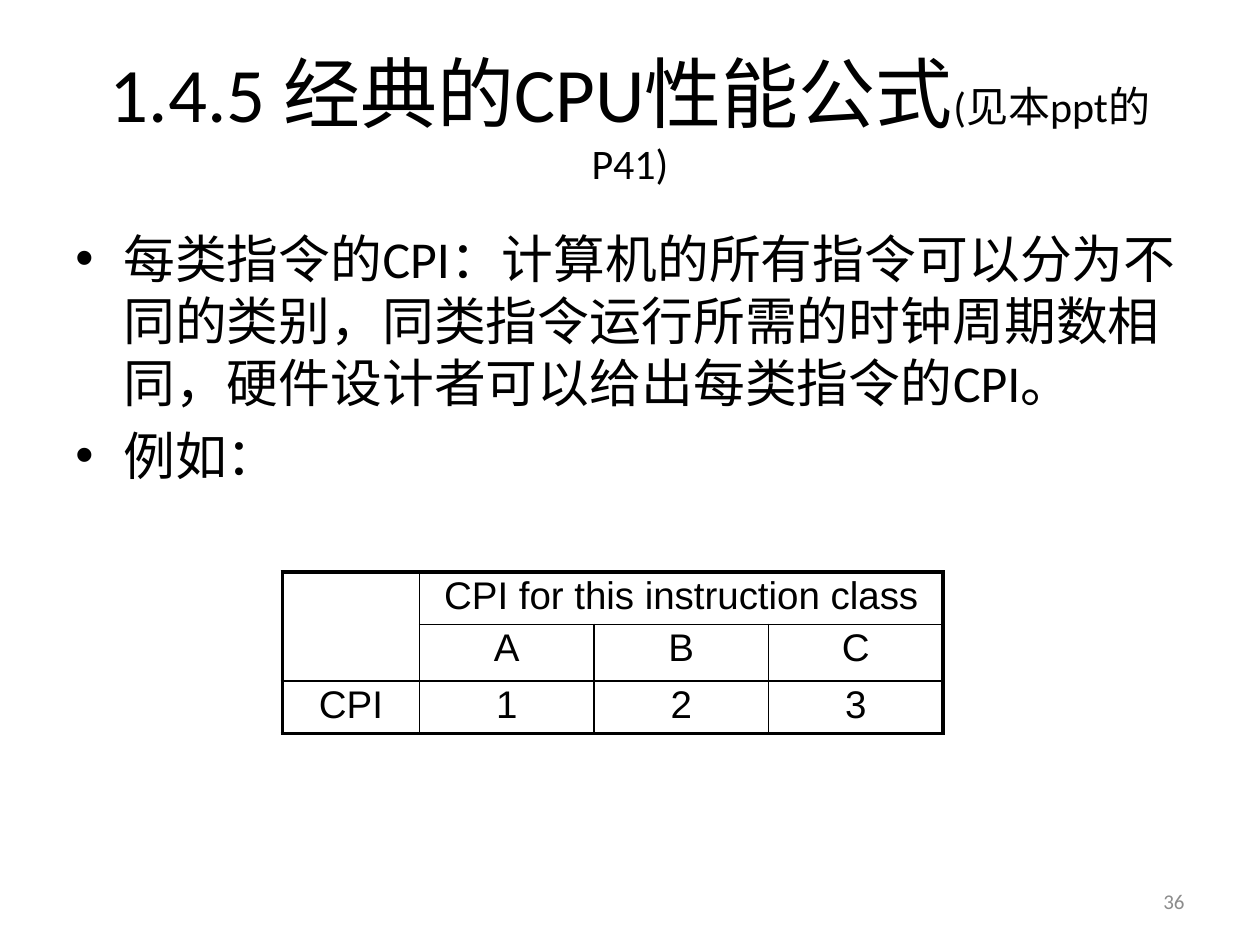
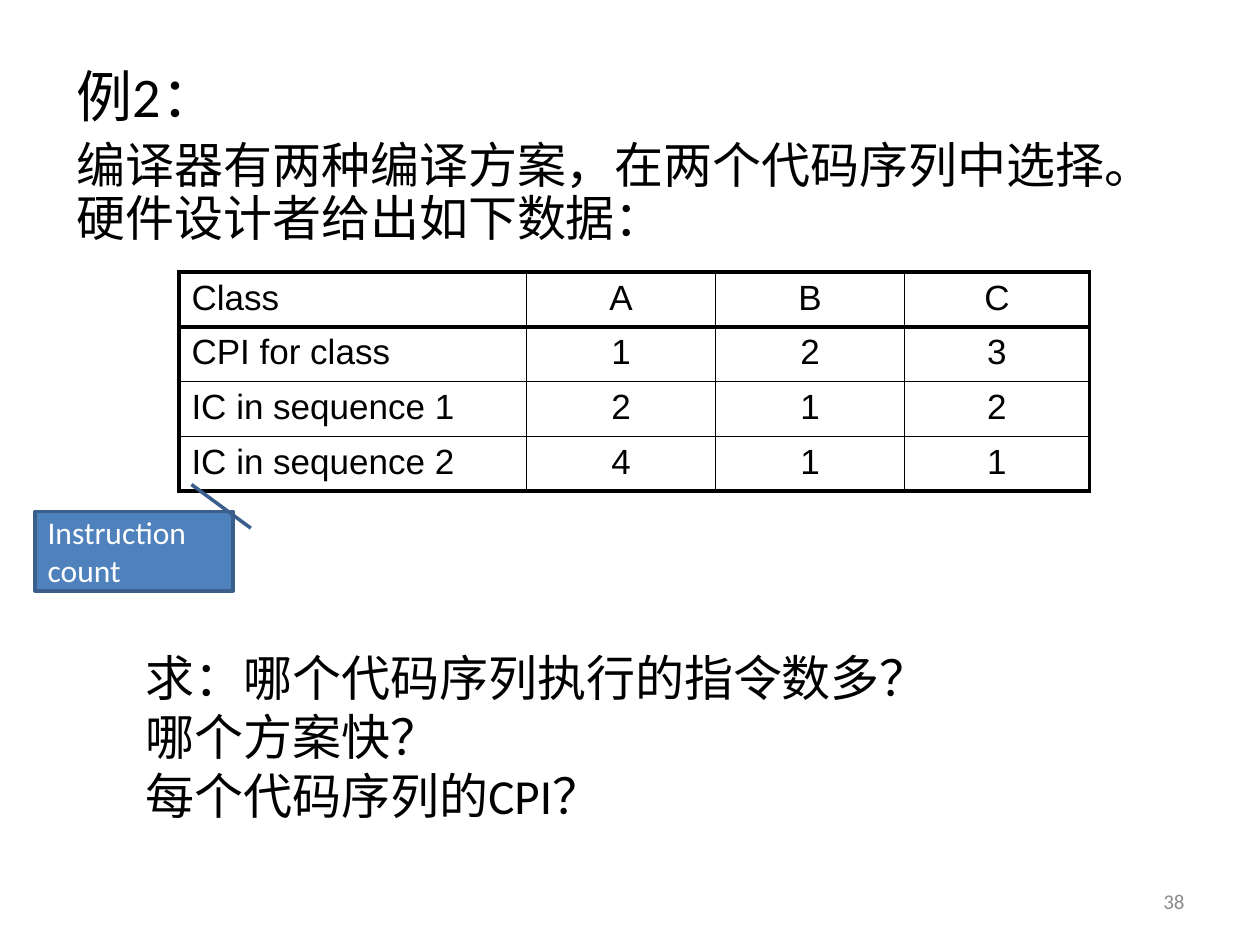
from dataclasses import dataclass
from lxml.etree import SubElement as Sub
from pptx import Presentation
from pptx.dml.color import RGBColor as Rgb
from pptx.enum.shapes import MSO_SHAPE as Kind
from pptx.enum.text import MSO_ANCHOR as Anchor, MSO_AUTO_SIZE as Auto, PP_ALIGN as Align
from pptx.oxml.ns import qn
from pptx.util import Inches, Pt


@dataclass(frozen=True)
class Theme:
    ink: str = "000000"
    pale: str = "FFFFFF"
    gray: str = "8C8C8C"
    blue: str = "4F81BD"
    edge: str = "3A5F8C"
    face: str = "Calibri"
    grid: str = "Arial"
    title: float = 44
    head: float = 32
    body: float = 29.6
    text: float = 28
    note: float = 24
    wide: float = 22
    cell: float = 20
    tag: float = 18
    foot: float = 12
    thick: float = 2.25
    thin: float = 1


WIDTH, HEIGHT = Inches(10), Inches(7.5)
COLS, ROWS = 20, 15
PLAIN = "{2D5ABB26-0587-4C30-8999-92F81FD0307C}"
LEFT = {"alignment": Align.LEFT}
MID = {"alignment": Align.CENTER}
RIGHT = {"alignment": Align.RIGHT}
SIDES = ("left", "top", "width", "height")


def apply(item, form):
    for name, value in form.items():
        setattr(item, name, value)


class Deck:
    def __init__(self, theme):
        self.theme = theme
        self.prs = Presentation()
        apply(self.prs, {"slide_width": WIDTH, "slide_height": HEIGHT})
        self.slide = None

    def place(self, *spot):
        units = (WIDTH / COLS, HEIGHT / ROWS) * 2
        return [round(n * unit) for n, unit in zip(spot, units)]

    def put(self, frame, lines, size, form=LEFT, ink=None, face=None, **more):
        apply(frame, {"word_wrap": True, "auto_size": Auto.NONE, **more})
        for i, line in enumerate(lines):
            para = frame.add_paragraph() if i else frame.paragraphs[0]
            apply(para, form)
            for part in [line] if isinstance(line, str) else line:
                words, points = (part, size) if isinstance(part, str) else part
                run = para.add_run()
                run.text = words
                apply(run.font, {"name": face or self.theme.face, "size": Pt(points)})
                run.font.color.rgb = Rgb.from_string(ink or self.theme.ink)

    def start(self, number, title, spot, size, form, anchor):
        self.slide = self.prs.slides.add_slide(self.prs.slide_layouts[5])
        head = self.slide.shapes.title
        apply(head, dict(zip(SIDES, self.place(*spot))))
        self.put(head.text_frame, [title], size, form, vertical_anchor=anchor)
        self.text([str(number)], (14.34, 13.9, 4.66, 0.8), self.theme.foot, RIGHT,
                  ink=self.theme.gray, vertical_anchor=Anchor.MIDDLE)

    def text(self, lines, spot, size, form=LEFT, **more):
        box = self.slide.shapes.add_textbox(*self.place(*spot))
        self.put(box.text_frame, lines, size, form, **more)
        return box

    def list(self, lines, spot, size):
        form = {**LEFT, "space_before": Pt(size * 0.2)}
        box = self.text(lines, spot, size, form)
        for para in box.text_frame.paragraphs:
            props = para._p.get_or_add_pPr()
            props.set("marL", str(Inches(0.38)))
            props.set("indent", str(-Inches(0.38)))
            Sub(props, qn("a:buFont"), typeface="Arial")
            Sub(props, qn("a:buChar"), char="•")

    def table(self, data, spot, cols, rows, size, first, form, merge=(), bold=()):
        where = self.place(*spot, sum(cols), sum(rows))
        grid = self.slide.shapes.add_table(len(rows), len(cols), *where).table
        apply(grid, {"first_row": False, "horz_banding": False})
        grid._tbl.tblPr.find(qn("a:tableStyleId")).text = PLAIN
        for col, span in zip(grid.columns, cols):
            col.width = self.place(span)[0]
        for row, span in zip(grid.rows, rows):
            row.height = self.place(0, span)[1]
        for start, end in merge:
            grid.cell(*start).merge(grid.cell(*end))
        heavy = {0, len(rows), *bold}
        for r, line in enumerate(data):
            for c, words in enumerate(line):
                cell = grid.cell(r, c)
                if cell.is_spanned:
                    continue
                self.rule(cell, {"L": c == 0, "R": c + cell.span_width == len(cols),
                                 "T": r in heavy, "B": r + cell.span_height in heavy})
                cell.fill.background()
                if words:
                    self.put(cell.text_frame, [words], size,
                             {**form, **(MID if c else first)}, face=self.theme.grid)

    def rule(self, cell, ends):
        props = cell._tc.get_or_add_tcPr()
        for side, heavy in ends.items():
            width = self.theme.thick if heavy else self.theme.thin
            line = Sub(props, qn("a:ln" + side), w=str(Pt(width)))
            Sub(Sub(line, qn("a:solidFill")), qn("a:srgbClr"), val=self.theme.ink)

    def callout(self, words, spot, bends):
        box = self.slide.shapes.add_shape(Kind.LINE_CALLOUT_1, *self.place(*spot))
        box.shadow.inherit = False
        box.fill.solid()
        box.fill.fore_color.rgb = Rgb.from_string(self.theme.blue)
        box.line.color.rgb = Rgb.from_string(self.theme.edge)
        box.line.width = Pt(2)
        for i, bend in enumerate(bends):
            box.adjustments[i] = bend
        self.put(box.text_frame, [words], self.theme.tag, ink=self.theme.pale,
                 vertical_anchor=Anchor.MIDDLE)


def main():
    theme = Theme()
    deck = Deck(theme)

    deck.start(36, ["1.4.5 经典的CPU性能公式", ("(见本ppt的P41)", theme.note)],
               (1, 0.6, 18, 2.5), theme.title, MID, Anchor.MIDDLE)
    deck.list(["每类指令的CPI：计算机的所有指令可以分为不同的类别，同类指令运行所需的时钟周期数相同，"
               "硬件设计者可以给出每类指令的CPI。", "例如："],
              (1, 3.5, 18, 5.1), theme.body)
    deck.table([["", "CPI for this instruction class", "", ""],
                ["", "A", "B", "C"],
                ["CPI", "1", "2", "3"]],
               (4.48, 9.08), [2.18] + [2.77] * 3, [0.83, 0.9, 0.83], theme.wide, MID,
               {"line_spacing": 0.9}, merge=[((0, 0), (1, 0)), ((0, 1), (0, 3))])

    deck.start(38, "例2：", (1.02, 0.88, 18, 1.26), theme.head, LEFT, Anchor.TOP)
    deck.text(["编译器有两种编译方案，在两个代码序列中选择。硬件设计者给出如下数据："],
              (1.02, 2.14, 18.1, 2.18), theme.text,
              {**LEFT, "line_spacing": 0.9, "space_before": Pt(theme.text * 0.2)})
    deck.table([["Class", "A", "B", "C"],
                ["CPI for class", "1", "2", "3"],
                ["IC in sequence 1", "2", "1", "2"],
                ["IC in sequence 2", "4", "1", "1"]],
               (2.84, 4.32), [5.52, 3, 3, 2.93], [0.87] * 4, theme.cell, LEFT, {}, bold=[1])
    deck.callout("Instruction count", (0.56, 8.12, 3.14, 1.26), (0.21, 1.09, -0.34, 0.79))
    deck.text(["求：哪个代码序列执行的指令数多？", "哪个方案快？", "每个代码序列的CPI？"],
              (2.12, 10.18, 16.38, 3.02), theme.text)

    deck.prs.save("out.pptx")


if __name__ == "__main__":
    main()
